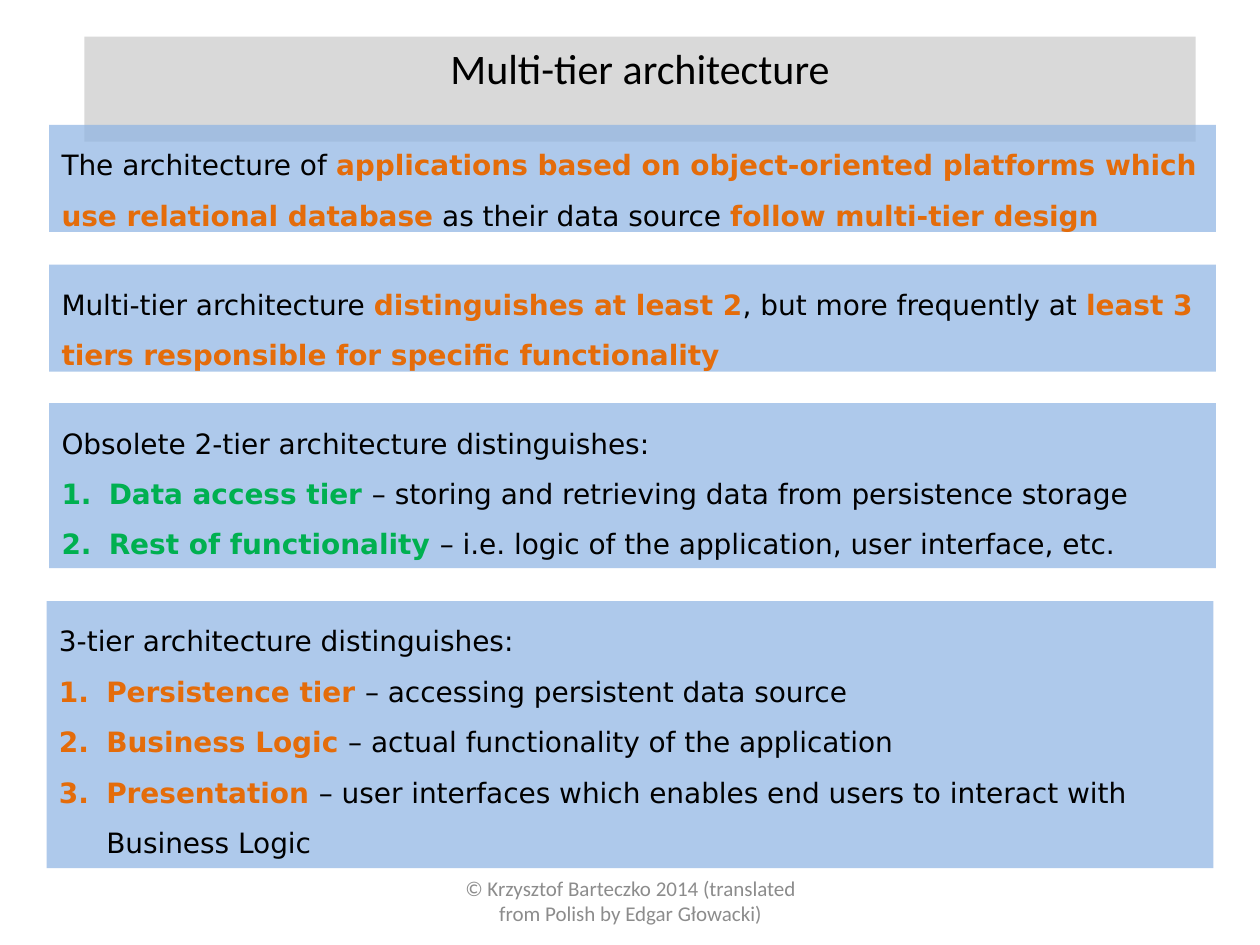
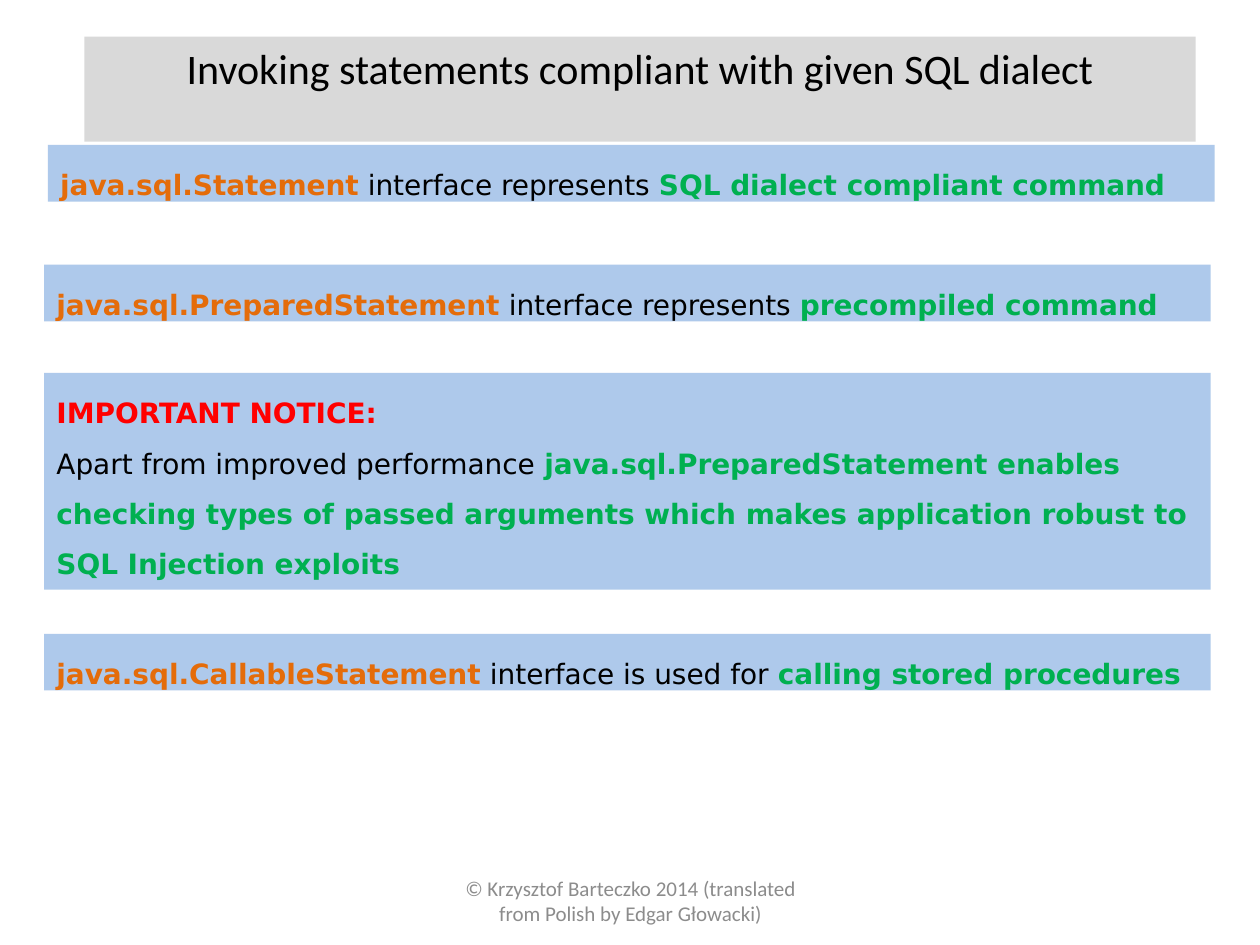
"""Builds two lecture slides on multi-tier architecture and SQL statements."""
from dataclasses import dataclass
from typing import Any, NamedTuple

from lxml import etree
from pptx import Presentation
from pptx.dml.color import RGBColor
from pptx.enum.shapes import MSO_SHAPE
from pptx.enum.text import MSO_ANCHOR, MSO_AUTO_SIZE, PP_ALIGN
from pptx.oxml.ns import qn
from pptx.util import Inches, Pt

RECTANGLE = MSO_SHAPE.RECTANGLE
TOP, MIDDLE = MSO_ANCHOR.TOP, MSO_ANCHOR.MIDDLE
GROW, FIXED = MSO_AUTO_SIZE.SHAPE_TO_FIT_TEXT, MSO_AUTO_SIZE.NONE
LEFT, CENTER = PP_ALIGN.LEFT, PP_ALIGN.CENTER
TITLE_ONLY = 5
COLUMNS, ROWS = 100, 75
SLIDE_WIDTH, SLIDE_HEIGHT = Inches(10), Inches(7.5)


@dataclass(frozen=True)
class Theme:
    """Colours, fonts and type sizes shared by the slides."""
    plain: str = "000000"
    accent: str = "E46C0A"
    positive: str = "00B050"
    warning: str = "FF0000"
    muted: str = "8C8C8C"
    title_band: str = "D9D9D9"
    panel: str = "8EB4E3"
    panel_opacity: int = 71
    heading_font: str = "Calibri"
    body_font: str = "DejaVu Sans"
    title_size: int = 24
    body_size: int = 16
    footer_size: int = 12
    line_spacing: float = 1.5
    list_indent: float = 3.75


class Area(NamedTuple):
    """A place on the slide in grid columns and rows."""
    column: float
    row: float
    width: float
    height: float


class Span(NamedTuple):
    """Words in one colour; every colour but the plain one is bold."""
    text: str
    color: str


@dataclass(frozen=True)
class Line:
    """One paragraph, numbered when it is a list item."""
    spans: tuple[Span, ...]
    numbered: bool = False


@dataclass(frozen=True)
class Panel:
    """A translucent band of text."""
    column: float
    row: float
    height: float
    lines: tuple[Line, ...]


@dataclass(frozen=True)
class Lesson:
    """The title and panels of one slide."""
    title: str
    panels: tuple[Panel, ...]


THEME = Theme()
TITLE_AREA = Area(6.7, 2.9, 88.2, 5)
FOOTER_AREA = Area(34.2, 69.5, 31.7, 4)
PANEL_WIDTH = 92.6
FOOTER = "© Krzysztof Barteczko 2014 (translated from Polish by Edgar Głowacki)"


def plain(text: str) -> Span:
    """Return regular body words."""
    return Span(text, THEME.plain)


def accent(text: str) -> Span:
    """Return orange key words."""
    return Span(text, THEME.accent)


def positive(text: str) -> Span:
    """Return green key words."""
    return Span(text, THEME.positive)


def line(*spans: Span) -> Line:
    """Return an ordinary paragraph."""
    return Line(spans)


def tier(name: Span, role: str) -> Line:
    """Return a numbered tier with its role."""
    return Line((name, plain(f"– {role}")), numbered=True)


def interface(name: str, verb: str, purpose: str) -> tuple[Line, ...]:
    """Return the sentence that introduces a java.sql interface."""
    return (line(accent(f"java.sql.{name}"), plain(f" interface {verb} "), positive(purpose)),)


LESSONS = (
    Lesson("Multi-tier architecture", (
        Panel(3.9, 9.9, 8.5, (line(
            plain("The architecture of "),
            accent("applications based on object-oriented platforms which use relational database"),
            plain(" as their data source "),
            accent("follow multi-tier design")),)),
        Panel(3.9, 21, 8.5, (line(
            plain("Multi-tier architecture "),
            accent("distinguishes at least 2"),
            plain(", but more frequently at "),
            accent("least 3 tiers responsible for specific functionality")),)),
        Panel(3.9, 32, 13.1, (
            line(plain("Obsolete 2-tier architecture distinguishes:")),
            tier(positive("Data access tier "),
                 "storing and retrieving data from persistence storage"),
            tier(positive("Rest of functionality "),
                 "i.e. logic of the application, user interface, etc."))),
        Panel(3.7, 47.7, 21.2, (
            line(plain("3-tier architecture distinguishes:")),
            tier(accent("Persistence tier "), "accessing persistent data source"),
            tier(accent("Business Logic "), "actual functionality of the application"),
            tier(accent("Presentation "),
                 "user interfaces which enables end users to interact with Business Logic"))),
    )),
    Lesson("Invoking statements compliant with given SQL dialect", (
        Panel(3.8, 11.5, 4.5,
              interface("Statement", "represents", "SQL dialect compliant command")),
        Panel(3.5, 21, 4.5,
              interface("PreparedStatement", "represents", "precompiled command")),
        Panel(3.5, 29.6, 17.2, (
            line(Span("IMPORTANT NOTICE:", THEME.warning)),
            line(plain("Apart from improved performance "),
                 positive("java.sql.PreparedStatement enables checking types of passed arguments "
                          "which makes application robust to SQL Injection exploits")))),
        Panel(3.5, 50.3, 4.5,
              interface("CallableStatement", "is used for", "calling stored procedures")),
    )),
)


def across(columns: float) -> int:
    """Convert grid columns to a length."""
    return round(SLIDE_WIDTH * columns / COLUMNS)


def down(rows: float) -> int:
    """Convert grid rows to a length."""
    return round(SLIDE_HEIGHT * rows / ROWS)


def bounds(area: Area) -> tuple[int, int, int, int]:
    """Convert a grid area to left, top, width and height."""
    return across(area.column), down(area.row), across(area.width), down(area.height)


def apply(target: Any, formats: dict[str, Any]) -> None:
    """Set each named attribute on the target."""
    for attribute, value in formats.items():
        setattr(target, attribute, value)


def fill(shape: Any, color: str) -> None:
    """Give the shape a solid fill."""
    shape.fill.solid()
    shape.fill.fore_color.rgb = RGBColor.from_string(color)


def write(paragraph: Any, span: Span, font_name: str, size: int, bold: bool = False) -> None:
    """Add one formatted run to the paragraph."""
    run = paragraph.add_run()
    run.text = span.text
    apply(run.font, {"name": font_name, "size": Pt(size), "bold": bold})
    run.font.color.rgb = RGBColor.from_string(span.color)


def number(paragraph: Any) -> None:
    """Turn the paragraph into a numbered list item."""
    properties = paragraph._p.get_or_add_pPr()
    indent = across(THEME.list_indent)
    for attribute, value in {"marL": indent, "indent": -indent}.items():
        properties.set(attribute, str(value))
    etree.SubElement(properties, qn("a:buFont"), typeface="+mj-lt")
    etree.SubElement(properties, qn("a:buAutoNum"), type="arabicPeriod")


def draw_title(slide: Any, text: str) -> None:
    """Move the title placeholder onto its grey band."""
    title = slide.shapes.title
    apply(title, dict(zip(("left", "top", "width", "height"), bounds(TITLE_AREA))))
    fill(title, THEME.title_band)
    frame = title.text_frame
    apply(frame, {"word_wrap": True, "auto_size": GROW, "vertical_anchor": TOP})
    heading = frame.paragraphs[0]
    heading.alignment = CENTER
    write(heading, plain(text), THEME.heading_font, THEME.title_size)


def draw_footer(slide: Any) -> None:
    """Add the credit line at the foot of the slide."""
    frame = slide.shapes.add_textbox(*bounds(FOOTER_AREA)).text_frame
    apply(frame, {"word_wrap": True, "auto_size": FIXED, "vertical_anchor": MIDDLE})
    credit = frame.paragraphs[0]
    credit.alignment = CENTER
    write(credit, Span(FOOTER, THEME.muted), THEME.heading_font, THEME.footer_size)


def draw_panel(slide: Any, panel: Panel) -> None:
    """Add a translucent band with its paragraphs."""
    area = Area(panel.column, panel.row, PANEL_WIDTH, panel.height)
    band = slide.shapes.add_shape(RECTANGLE, *bounds(area))
    band.shadow.inherit = False
    band.line.fill.background()
    fill(band, THEME.panel)
    tint = band._element.spPr.find(f"{qn('a:solidFill')}/{qn('a:srgbClr')}")
    etree.SubElement(tint, qn("a:alpha"), val=str(THEME.panel_opacity * 1000))
    frame = band.text_frame
    apply(frame, {"word_wrap": True, "auto_size": GROW, "vertical_anchor": TOP})
    for index, content in enumerate(panel.lines):
        paragraph = frame.add_paragraph() if index else frame.paragraphs[0]
        apply(paragraph, {"alignment": LEFT, "line_spacing": THEME.line_spacing})
        if content.numbered:
            number(paragraph)
        for span in content.spans:
            write(paragraph, span, THEME.body_font, THEME.body_size, span.color != THEME.plain)


def build() -> None:
    """Create the presentation and save it."""
    deck = Presentation()
    apply(deck, {"slide_width": SLIDE_WIDTH, "slide_height": SLIDE_HEIGHT})
    for lesson in LESSONS:
        slide = deck.slides.add_slide(deck.slide_layouts[TITLE_ONLY])
        draw_footer(slide)
        draw_title(slide, lesson.title)
        for panel in lesson.panels:
            draw_panel(slide, panel)
    deck.save("out.pptx")


build()
